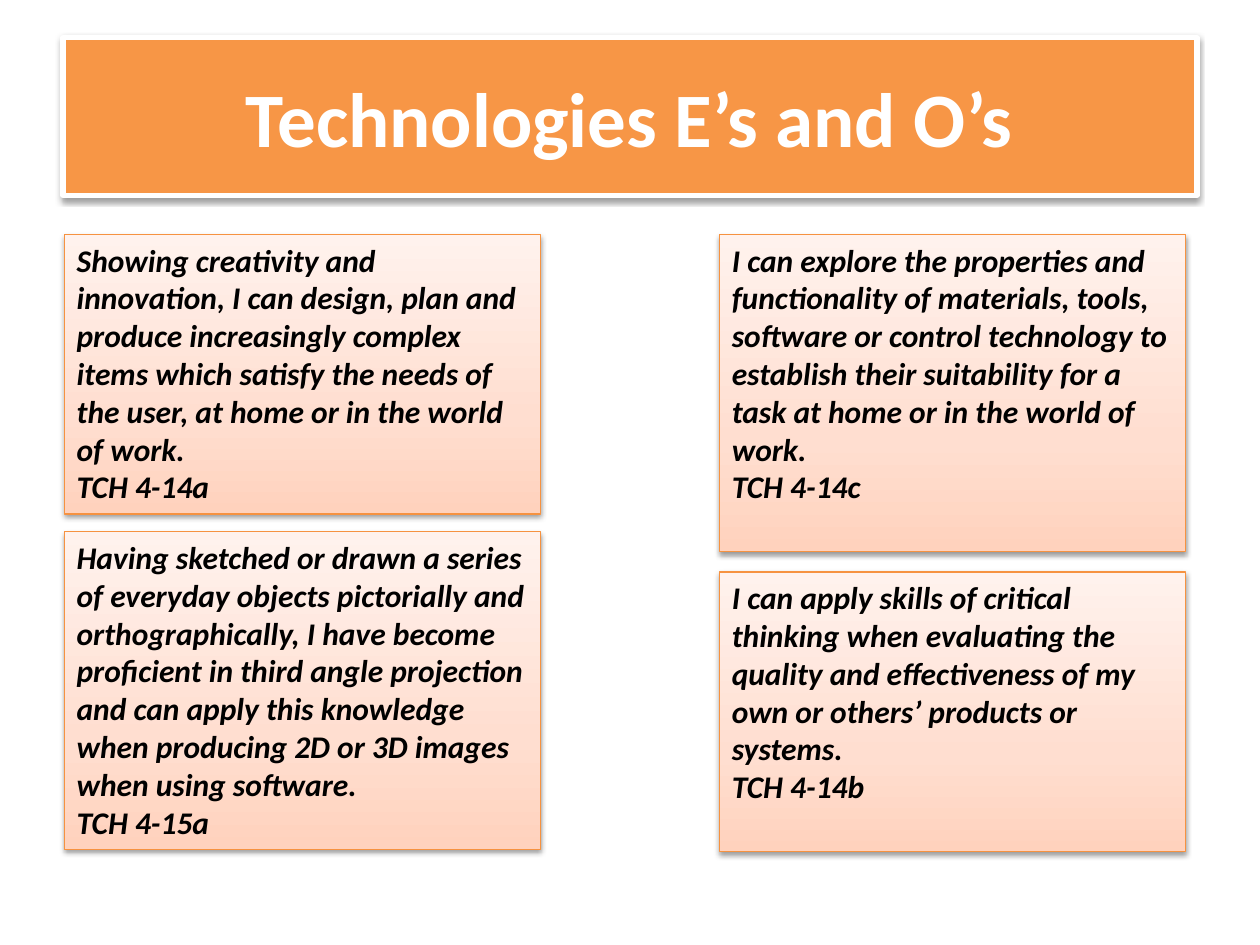
import lxml.etree
import pptx
import pptx.dml.color
import pptx.enum.shapes
import pptx.enum.text
import pptx.oxml
import pptx.oxml.ns
import pptx.util

Inches = pptx.util.Inches
Pt = pptx.util.Pt
qn = pptx.oxml.ns.qn

STOPS = [(0, "FFD2BD"), (35, "FFDED0"), (100, "FFF2ED")]
LEFT = [
    (1.86, 2.22, "Showing creativity and innovation, I can design, plan and produce "
     "increasingly complex items which satisfy the needs of the user, at home "
     "or in the world of work.", "TCH 4-14a"),
    (4.22, 2.52, "Having sketched or drawn a series of everyday objects pictorially "
     "and orthographically, I have become proficient in third angle projection "
     "and can apply this knowledge when producing 2D or 3D images when using "
     "software.", "TCH 4-15a"),
]
RIGHT = [
    (1.86, 2.52, "I can explore the properties and functionality of materials, tools, "
     "software or control technology to establish their suitability for a task "
     "at home or in the world of work.", "TCH 4-14c"),
    (4.54, 2.22, "I can apply skills of critical thinking when evaluating the quality "
     "and effectiveness of my own or others’ products or systems.", "TCH 4-14b"),
]


def color(code):
    return pptx.dml.color.RGBColor.from_string(code)


def outline(shape, code, width):
    shape.line.color.rgb = color(code)
    shape.line.width = Pt(width)


def shade(shape):
    shape.shadow.inherit = False
    effects = shape._element.spPr.find(qn("a:effectLst"))
    outer = lxml.etree.SubElement(
        effects, qn("a:outerShdw"), blurRad=str(Pt(3.1)), dist=str(Pt(1.6)),
        dir="5400000", rotWithShape="0")
    black = lxml.etree.SubElement(outer, qn("a:srgbClr"), val="000000")
    lxml.etree.SubElement(black, qn("a:alpha"), val="38000")


def blend(shape):
    shape.fill.gradient()
    shape.fill.gradient_angle = 90
    stops = shape._element.spPr.find(qn("a:gradFill")).find(qn("a:gsLst"))
    for old in list(stops):
        stops.remove(old)
    for place, code in STOPS:
        stop = lxml.etree.SubElement(stops, qn("a:gs"), pos=str(place * 1000))
        lxml.etree.SubElement(stop, qn("a:srgbClr"), val=code)


def write(para, text, size, code, slant=False):
    run = para.add_run()
    run.text = text
    font = run.font
    font.name = "Calibri"
    font.size = Pt(size)
    font.bold = True
    font.italic = slant
    font.color.rgb = color(code)


def add_title(slide, left, top, width, height):
    title = slide.shapes.title
    title.left, title.top = Inches(left), Inches(top)
    title.width, title.height = Inches(width), Inches(height)
    title.fill.solid()
    title.fill.fore_color.rgb = color("F79646")
    outline(title, "FFFFFF", 3)
    shade(title)
    frame = title.text_frame
    frame.vertical_anchor = pptx.enum.text.MSO_ANCHOR.MIDDLE
    para = frame.paragraphs[0]
    para.alignment = pptx.enum.text.PP_ALIGN.CENTER
    write(para, "Technologies E’s and O’s", 44, "FFFFFF")


def add_card(slide, left, top, width, height, lines):
    card = slide.shapes.add_shape(
        pptx.enum.shapes.MSO_SHAPE.RECTANGLE,
        Inches(left), Inches(top), Inches(width), Inches(height))
    blend(card)
    outline(card, "F69240", 0.75)
    shade(card)
    frame = card.text_frame
    frame.word_wrap = True
    frame.vertical_anchor = pptx.enum.text.MSO_ANCHOR.TOP
    for index, line in enumerate(lines):
        para = frame.add_paragraph() if index else frame.paragraphs[0]
        para.alignment = pptx.enum.text.PP_ALIGN.LEFT
        write(para, line, 18, "000000", True)


def add_column(slide, left, width, cards):
    for top, height, *lines in cards:
        add_card(slide, left, top, width, height, lines)


def main():
    deck = pptx.Presentation()
    deck.slide_width, deck.slide_height = Inches(10), Inches(7.5)
    slide = deck.slides.add_slide(deck.slide_layouts[5])
    add_title(slide, 0.5, 0.3, 9, 1.25)
    add_column(slide, 0.51, 3.78, LEFT)
    add_column(slide, 5.71, 3.7, RIGHT)
    deck.save("out.pptx")


if __name__ == "__main__":
    main()
